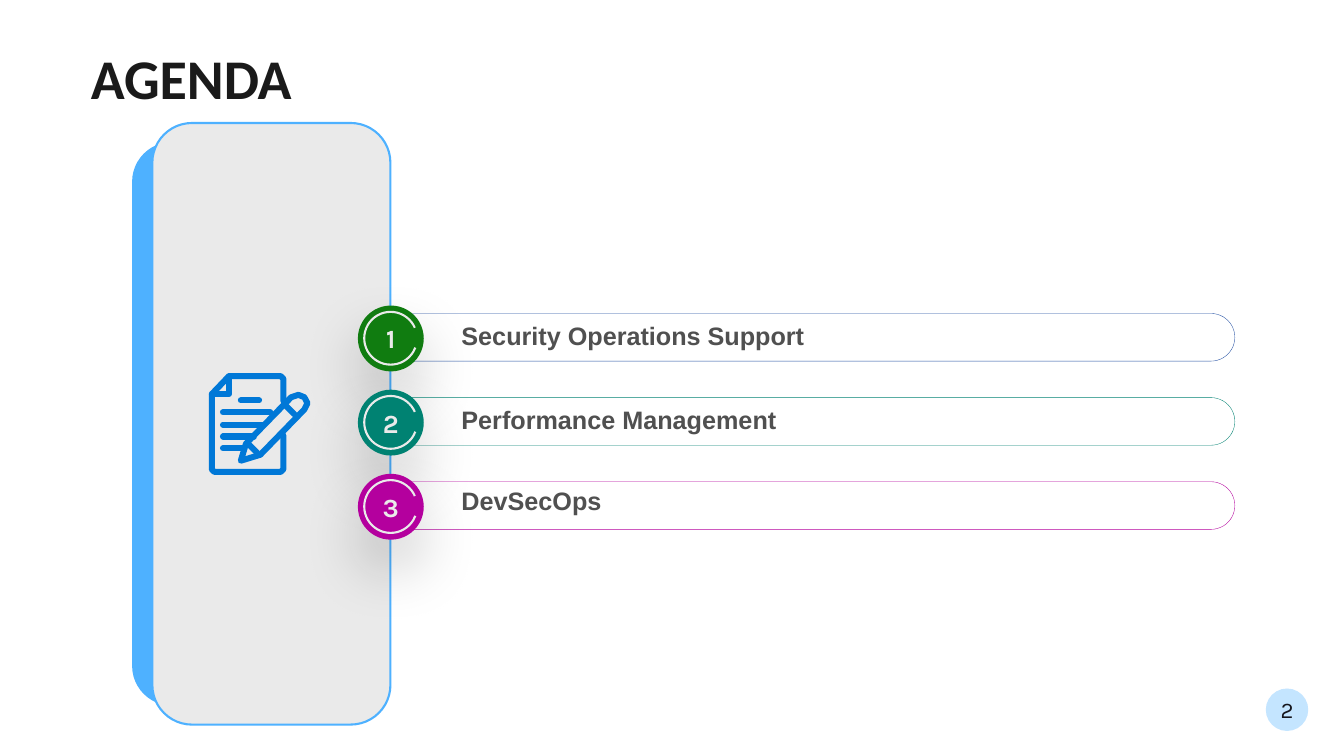
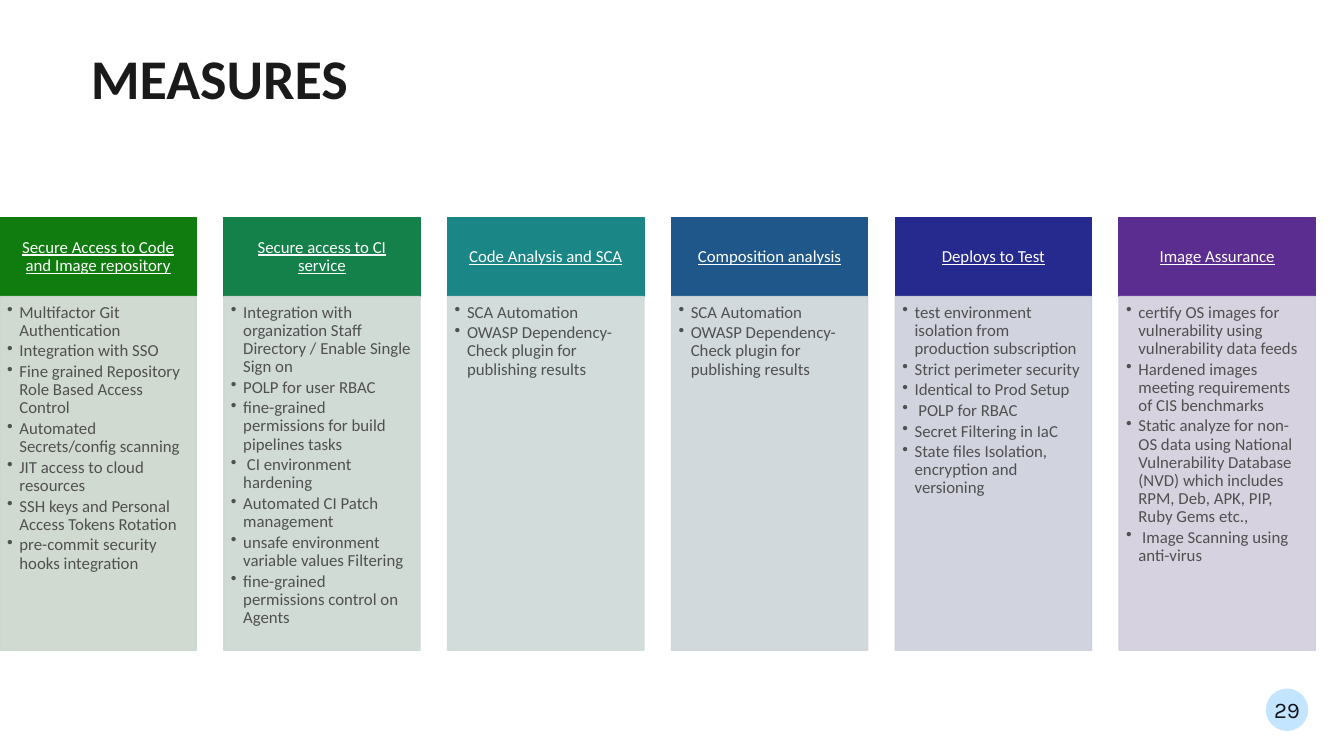
from lxml import etree
from pptx import Presentation
from pptx import util as u
from pptx.dml.color import RGBColor
from pptx.enum import shapes, text
from pptx.oxml import ns

COLORS = {
    "ink": "1A1A1A", "number": "15151C", "body": "505050", "white": "FFFFFF",
    "badge": "C4E5FF", "sky": "4EB1FF", "panel": "EAEAEA", "icon": "0078D7",
    "black": "000000", "blue": "2450A3", "green": "107C10", "teal": "008272",
    "magenta": "B4009E", "emerald": "15814A", "cyan": "1A8685", "steel": "20578A",
    "navy": "26298E", "purple": "5C2D91", "pale_green": "CCD7CC",
    "pale_emerald": "CDD8D2", "pale_cyan": "CDD9D8", "pale_steel": "CDD5DA",
    "pale_navy": "CDCFDB", "pale_purple": "D2CEDC",
}

AGENDA = [
    ("Security Operations Support", "green", "blue", 0),
    ("Performance Management", "teal", "teal", 0),
    ("DevSecOps", "magenta", "magenta", 0.08),
]

SCA_POINTS = ["SCA Automation", "OWASP Dependency-Check plugin for publishing results"]

MEASURES = [
    ("Secure Access to Code and Image repository", "green", [
        "Multifactor Git Authentication",
        "Integration with SSO",
        "Fine grained Repository Role Based Access Control",
        "Automated Secrets/config scanning",
        "JIT access to cloud resources",
        "SSH keys and Personal Access Tokens Rotation",
        "pre-commit security hooks integration"]),
    ("Secure access to CI service", "emerald", [
        "Integration with organization Staff Directory / Enable Single Sign on",
        "POLP for user RBAC",
        "fine-grained permissions for build pipelines tasks",
        " CI environment hardening",
        "Automated CI Patch management",
        "unsafe environment variable values Filtering",
        "fine-grained permissions control on Agents"]),
    ("Code Analysis and SCA", "cyan", SCA_POINTS),
    ("Composition analysis", "steel", SCA_POINTS),
    ("Deploys to Test", "navy", [
        "test environment isolation from production subscription",
        "Strict perimeter security",
        "Identical to Prod Setup",
        " POLP for RBAC",
        "Secret Filtering in IaC",
        "State files Isolation, encryption and versioning"]),
    ("Image Assurance", "purple", [
        "certify OS images for vulnerability using vulnerability data feeds",
        "Hardened images meeting requirements of CIS benchmarks",
        "Static analyze for non-OS data using National Vulnerability Database "
        "(NVD) which includes RPM, Deb, APK, PIP, Ruby Gems etc.,",
        " Image Scanning using anti-virus"]),
]

PAGE_EDGE = [(188, 157), (188, 243), (182, 249), (14, 249), (8, 243), (8, 53),
             (51, 8), (182, 8), (188, 14), (188, 70)]
PAGE_FOLD = [(8, 53), (51, 53), (51, 8)]
PAGE_LINES = [[(left, y), (right, y)] for left, right, y in [
    (81, 127, 69), (36, 155, 99), (36, 137, 130), (36, 114, 160), (36, 86, 190)]]
PENCIL = [(81, 221), (94, 178), (208, 61), (226, 55), (241, 61), (249, 76),
          (241, 92), (130, 206), (81, 221)]
PENCIL_BANDS = [[(196, 84), (216, 104)], [(102, 181), (122, 201)]]


class Deck:
    """Hold the shared style and the slide being drawn."""

    def __init__(self):
        self.prs = Presentation()
        self.prs.slide_width, self.prs.slide_height = u.Cm(33.87), u.Cm(19.05)
        self.slide = None

    def color(self, name):
        return RGBColor.from_string(COLORS[name])

    def start(self, title, number):
        self.slide = self.prs.slides.add_slide(self.prs.slide_layouts[6])
        badge = self.shape("OVAL", (31.9, 17.35, 1.07, 1.07), "badge")
        self.put_text(badge, [number], 16, "number", "Karla", center=True,
                      insets=(0, 0.08, 0, 0.08))
        self.label(title, (2.29, 1.42, 28.7, 1.4), 40, "ink", "Calibri", bold=True,
                   spacing=u.Pt(38.7), anchor="TOP", insets=(0, 0, 0, 0))

    def paint(self, shape, fill, line, width, alpha):
        for part, name in ((shape.fill, fill), (shape.line.fill, line)):
            if not name:
                part.background()
                continue
            part.solid()
            part.fore_color.rgb = self.color(name)
        if line:
            shape.line.width = u.Pt(width)
        if alpha:
            for tone in shape._element.spPr.iter(ns.qn("a:srgbClr")):
                etree.SubElement(tone, ns.qn("a:alpha"), val=str(alpha * 1000))
        shape.shadow.inherit = False

    def shape(self, kind, at, fill=None, line=None, width=1.5, alpha=None, adjust=()):
        preset = getattr(shapes.MSO_SHAPE, kind)
        drawn = self.slide.shapes.add_shape(preset, *map(u.Cm, at))
        for i, value in enumerate(adjust):
            drawn.adjustments[i] = value
        self.paint(drawn, fill, line, width, alpha)
        return drawn

    def strokes(self, at, contours, line, width):
        builder = self.slide.shapes.build_freeform(*contours[0][0], scale=u.Cm(0.01))
        for i, points in enumerate(contours):
            if i:
                builder.move_to(*points[0])
            builder.add_line_segments(points[1:], close=False)
        drawn = builder.convert_to_shape(*map(u.Cm, at))
        self.paint(drawn, None, line, width, None)
        outline = drawn._element.spPr.find(ns.qn("a:ln"))
        outline.set("cap", "rnd")
        etree.SubElement(outline, ns.qn("a:round"))

    def drop_shadow(self, shape):
        effects = shape._element.spPr.find(ns.qn("a:effectLst"))
        shadow = etree.SubElement(
            effects, ns.qn("a:outerShdw"), blurRad=str(u.Pt(45)), dist=str(u.Pt(21)),
            dir="5400000", algn="t", rotWithShape="0")
        tone = etree.SubElement(shadow, ns.qn("a:srgbClr"), val=COLORS["black"])
        etree.SubElement(tone, ns.qn("a:alpha"), val="20000")

    def put_text(self, shape, lines, size, color, font, bold=False, underline=False,
                 center=False, bullet=False, spacing=None, after=None, anchor="MIDDLE",
                 insets=(0.13, 0.08, 0.13, 0.08)):
        frame = shape.text_frame
        frame.word_wrap = True
        frame.vertical_anchor = getattr(text.MSO_ANCHOR, anchor)
        (frame.margin_left, frame.margin_top,
         frame.margin_right, frame.margin_bottom) = map(u.Cm, insets)
        for i, line in enumerate(lines):
            para = frame.add_paragraph() if i else frame.paragraphs[0]
            if bullet:
                props = para._p.get_or_add_pPr()
                props.set("marL", str(u.Cm(0.31)))
                props.set("indent", str(-u.Cm(0.31)))
                etree.SubElement(props, ns.qn("a:buChar"), char="•")
            para.alignment = text.PP_ALIGN.CENTER if center else text.PP_ALIGN.LEFT
            if spacing:
                para.line_spacing = spacing
            if after:
                para.space_after = u.Pt(after)
            run = para.add_run()
            run.text = line
            run.font.size, run.font.name = u.Pt(size), font
            run.font.bold, run.font.underline = bold, underline
            run.font.color.rgb = self.color(color)

    def label(self, words, at, size, color, font, **style):
        box = self.slide.shapes.add_textbox(*map(u.Cm, at))
        self.put_text(box, [words], size, color, font, **style)

    def agenda_row(self, index, words, disc_color, edge, lift):
        top = 7.7 + 2.12 * index
        self.shape("ROUNDED_RECTANGLE", (9.22, top + 0.2, 21.9, 1.2), line=edge,
                   width=0.25, adjust=[0.5])
        self.label(words, (11.5, top + 0.4 - lift, 18, 0.82), 18, "body", "Arial",
                   bold=True, spacing=0.9)
        disc = self.shape("OVAL", (9.02, top, 1.66, 1.66), disc_color)
        self.drop_shadow(disc)
        self.put_text(disc, [str(index + 1)], 18.7, "panel", "Karla", bold=True,
                      center=True)
        self.shape("ARC", (9.18, top + 0.16, 1.33, 1.33), line="panel",
                   adjust=[12.4, 202])

    def measure_column(self, index, heading, tone, points):
        left, width = 5.64 * index, 4.95
        header = self.shape("RECTANGLE", (left, 5.49, width, 1.98), tone, tone, 0.85)
        self.put_text(header, [heading], 12, "white", "Calibri", underline=True,
                      center=True, spacing=0.9, insets=(0.23, 0.13, 0.23, 0.13))
        pale = "pale_" + tone
        body = self.shape("RECTANGLE", (left, 7.47, width, 8.92), pale, pale, 0.85, alpha=90)
        self.put_text(body, points, 12, "body", "Calibri", bullet=True, spacing=0.9,
                      after=1.8, anchor="TOP", insets=(0.18, 0.18, 0.23, 0.25))


def main():
    deck = Deck()

    deck.start("AGENDA", "2")
    deck.shape("ROUNDED_RECTANGLE", (3.33, 3.58, 6, 14.2), "sky")
    deck.shape("ROUNDED_RECTANGLE", (3.84, 3.1, 6, 15.16), "panel", "sky")
    for index, row in enumerate(AGENDA):
        deck.agenda_row(index, *row)
    deck.strokes((5.26, 9.4), [PAGE_EDGE, PAGE_FOLD, *PAGE_LINES, PENCIL, *PENCIL_BANDS],
                 "icon", 4.3)

    deck.start("MEASURES", "29")
    for index, column in enumerate(MEASURES):
        deck.measure_column(index, *column)

    deck.prs.save("out.pptx")


if __name__ == "__main__":
    main()
